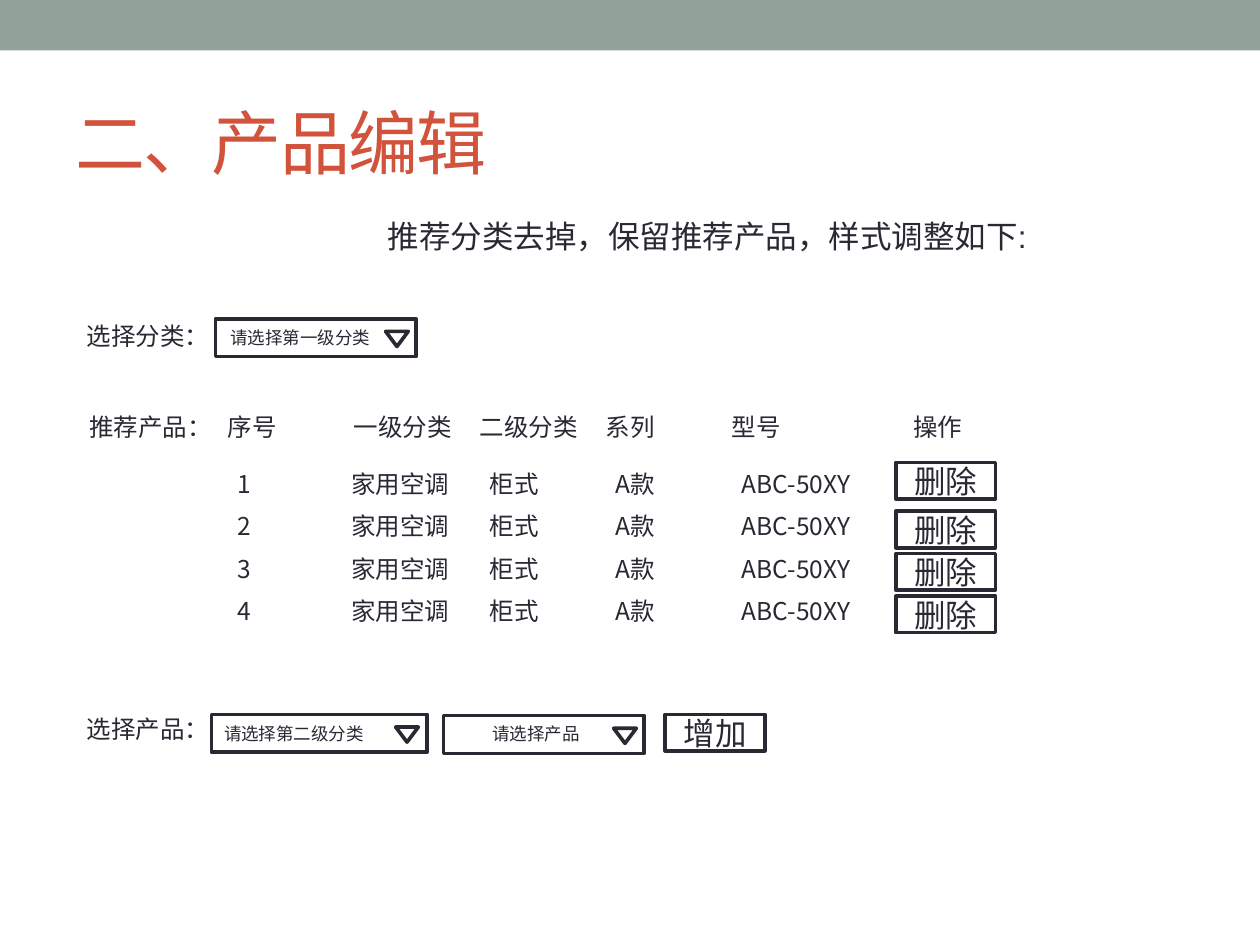
"""Build the product editing slide with its selectors and recommended products."""
from dataclasses import dataclass

import lxml.etree
import pptx
import pptx.dml.color
import pptx.enum.shapes
import pptx.enum.text
import pptx.oxml.ns
import pptx.util

SHAPE = pptx.enum.shapes.MSO_SHAPE
ALIGN = pptx.enum.text.PP_ALIGN
MIDDLE = pptx.enum.text.MSO_ANCHOR.MIDDLE
COLUMNS, ROWS = 100, 75
WIDTH, HEIGHT = pptx.util.Inches(10), pptx.util.Inches(7.5)


@dataclass(frozen=True)
class Theme:
    band: str = "93A299"
    title: str = "D2533C"
    ink: str = "292934"
    paper: str = "FFFFFF"
    font: str = "Arial"
    row_font: str = "Noto Sans CJK JP"
    title_size: int = 40
    lead_size: int = 18
    label_size: int = 14
    hint_size: int = 10
    outline: float = 2.08


@dataclass(frozen=True)
class Area:
    column: float
    row: float
    columns: float
    rows: float

    def lengths(self) -> tuple[int, int, int, int]:
        return (int(WIDTH * self.column / COLUMNS), int(HEIGHT * self.row / ROWS),
                int(WIDTH * self.columns / COLUMNS), int(HEIGHT * self.rows / ROWS))


@dataclass(frozen=True)
class Label:
    text: str
    area: Area
    size: int


@dataclass(frozen=True)
class Selector:
    frame: Area
    hint: Label
    arrow_column: float


@dataclass(frozen=True)
class Product:
    number: str
    row: float
    button_row: float


THEME = Theme()
HEADINGS = ("序号", "一级分类", "二级分类", "系列", "型号", "操作")
HEADING_TABS = (10, 20, 30, 40, 54.4)
DETAILS = ("家用空调", "柜式", "A款", "ABC-50XY")
DETAIL_TABS = (9, 20, 30, 40)
FIRST_ROW, ROW_STEP = 36.7, 3.37
PRODUCTS = [Product(str(index + 1), FIRST_ROW + index * ROW_STEP,
                    FIRST_ROW + index * ROW_STEP + (0.5 if index else 0))
            for index in range(4)]
LABELS = (
    Label("推荐分类去掉，保留推荐产品，样式调整如下:", Area(29.8, 16.7, 53.2, 4), THEME.lead_size),
    Label("选择分类：", Area(5.9, 25, 11.8, 3.4), THEME.label_size),
    Label("推荐产品：", Area(6.1, 32.2, 11.8, 3.4), THEME.label_size),
    Label("选择产品：", Area(5.9, 56.2, 11.8, 3.4), THEME.label_size),
)
SELECTORS = (
    Selector(Area(17.1, 25.3, 15.9, 3),
             Label("请选择第一级分类", Area(17.3, 25.5, 13.2, 2.7), THEME.hint_size), 30.6),
    Selector(Area(16.8, 56.7, 17.1, 3),
             Label("请选择第二级分类", Area(16.8, 56.9, 13.2, 2.7), THEME.hint_size), 31.4),
    Selector(Area(35.2, 56.8, 15.9, 3),
             Label("请选择产品", Area(38.1, 56.9, 9, 2.7), THEME.hint_size), 48.7),
)


def color(value: str) -> pptx.dml.color.RGBColor:
    return pptx.dml.color.RGBColor.from_string(value)


def add_span(para, text: str, size: int, ink: str = THEME.ink, font: str = THEME.font):
    span = para.add_run()
    span.text = text
    span.font.size = pptx.util.Pt(size)
    span.font.name = font
    span.font.color.rgb = color(ink)
    return span


def add_title(page, text: str, area: Area) -> None:
    title = page.shapes.title
    title.left, title.top, title.width, title.height = area.lengths()
    title.text_frame.vertical_anchor = MIDDLE
    para = title.text_frame.paragraphs[0]
    para.alignment = ALIGN.LEFT
    span = add_span(para, text, THEME.title_size, THEME.title)
    span.font._element.set("spc", "-100")


def add_label(page, label: Label) -> None:
    box = page.shapes.add_textbox(*label.area.lengths())
    box.text_frame.word_wrap = False
    add_span(box.text_frame.paragraphs[0], label.text, label.size)


def add_tabbed_row(page, cells: tuple[str, ...], tabs: tuple[float, ...],
                   area: Area, font: str) -> None:
    box = page.shapes.add_textbox(*area.lengths())
    box.text_frame.word_wrap = True
    para = box.text_frame.paragraphs[0]
    qualified = pptx.oxml.ns.qn
    stops = lxml.etree.SubElement(para._p.get_or_add_pPr(), qualified("a:tabLst"))
    for column in tabs:
        lxml.etree.SubElement(stops, qualified("a:tab"),
                              pos=str(int(WIDTH * column / COLUMNS)), algn="l")
    add_span(para, "\t".join(cells), THEME.label_size, font=font)


def add_outlined(page, kind, area: Area):
    shape = page.shapes.add_shape(kind, *area.lengths())
    shape.shadow.inherit = False
    shape.fill.solid()
    shape.fill.fore_color.rgb = color(THEME.paper)
    shape.line.color.rgb = color(THEME.ink)
    shape.line.width = pptx.util.Pt(THEME.outline)
    return shape


def add_button(page, text: str, column: float, row: float) -> None:
    button = add_outlined(page, SHAPE.RECTANGLE, Area(column, row, 7.9, 2.9))
    button.text_frame.vertical_anchor = MIDDLE
    para = button.text_frame.paragraphs[0]
    para.alignment = ALIGN.CENTER
    add_span(para, text, THEME.lead_size)


def add_selector(page, selector: Selector) -> None:
    add_outlined(page, SHAPE.RECTANGLE, selector.frame)
    arrow = add_outlined(page, SHAPE.ISOSCELES_TRIANGLE,
                         Area(selector.arrow_column, selector.frame.row + 1, 1.8, 1.2))
    arrow.rotation = 180
    add_label(page, selector.hint)


def add_band(page) -> None:
    band = page.shapes.add_shape(SHAPE.RECTANGLE, *Area(0, 0, COLUMNS, 4).lengths())
    band.shadow.inherit = False
    band.fill.solid()
    band.fill.fore_color.rgb = color(THEME.band)
    band.line.fill.background()


def main() -> None:
    deck = pptx.Presentation()
    deck.slide_width, deck.slide_height = WIDTH, HEIGHT
    page = deck.slides.add_slide(deck.slide_layouts.get_by_name("Title Only"))
    add_band(page)
    add_title(page, "二、产品编辑", Area(5, 5.8, 90, 10.8))
    for label in LABELS:
        add_label(page, label)
    for selector in SELECTORS:
        add_selector(page, selector)
    add_button(page, "增加", 52.8, 56.7)
    add_tabbed_row(page, HEADINGS, HEADING_TABS, Area(17.1, 32.2, 70, 3.4), THEME.font)
    for product in PRODUCTS:
        add_tabbed_row(page, (product.number, *DETAILS), DETAIL_TABS,
                       Area(17.9, product.row, 61.3, 3.4), THEME.row_font)
        add_button(page, "删除", 71.1, product.button_row)
    deck.save("out.pptx")


if __name__ == "__main__":
    main()
